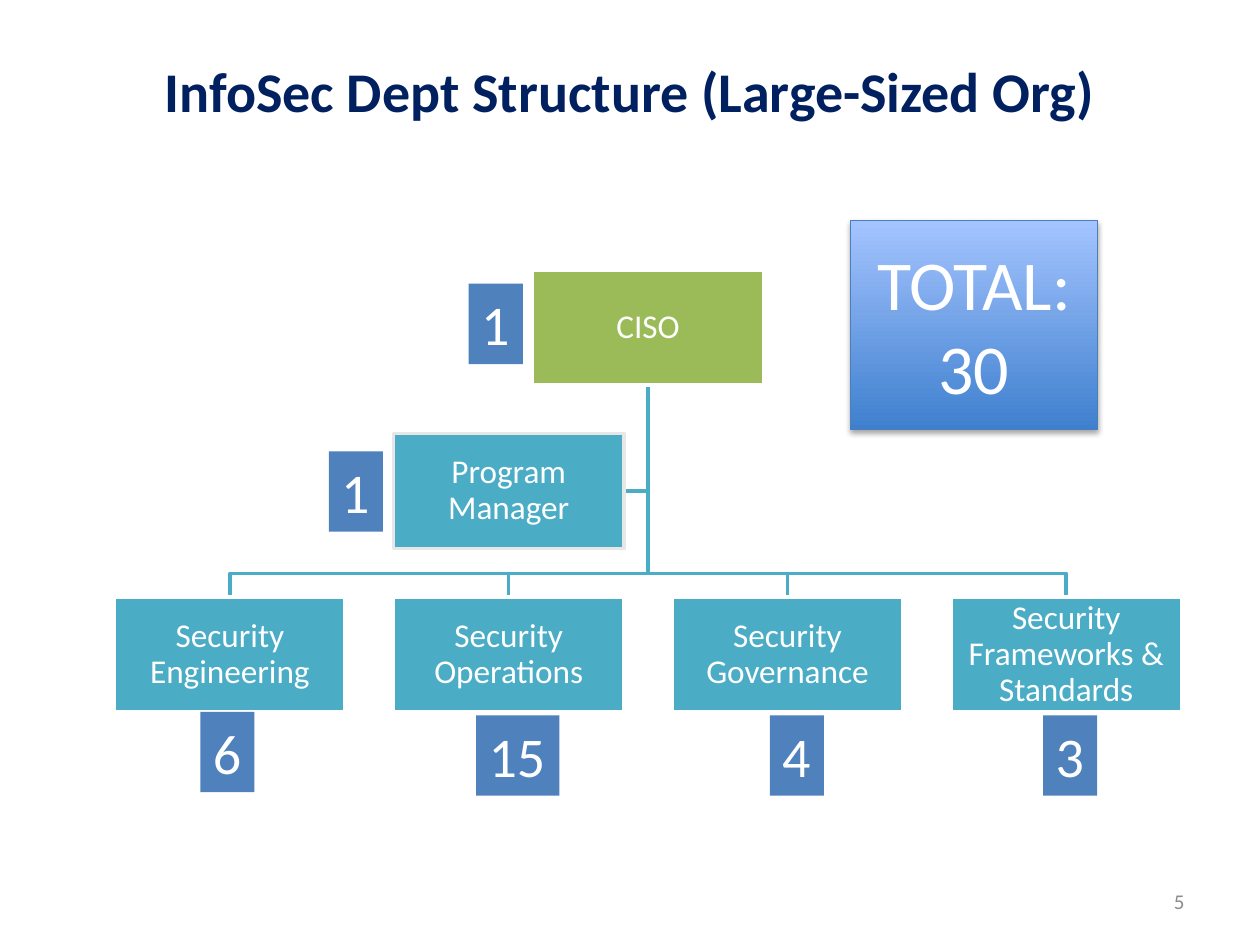
import pptx
import pptx.dml.color
import pptx.enum.shapes
import pptx.enum.text
import pptx.oxml
import pptx.oxml.ns
import pptx.util
from dataclasses import dataclass

Cm = pptx.util.Cm
Pt = pptx.util.Pt
ALIGN = pptx.enum.text.PP_ALIGN
RECTANGLE = pptx.enum.shapes.MSO_SHAPE.RECTANGLE


@dataclass(frozen=True)
class Theme:
    font: str = "Calibri"
    white: str = "FFFFFF"
    navy: str = "002060"
    gray: str = "8C8C8C"
    green: str = "9BBB59"
    teal: str = "4BACC6"
    blue: str = "4F81BD"
    pale_edge: str = "E7E7E7"
    total_edge: str = "4B7EBC"
    total_gradient: tuple = ("3F80CE", "A4C4FF")
    title_size: int = 32
    total_size: int = 40
    badge_size: int = 32
    role_size: int = 19
    number_size: int = 12


SHADOW = (
    '<a:effectLst xmlns:a="http://schemas.openxmlformats.org/drawingml/2006/main">'
    '<a:outerShdw blurRad="40000" dist="23000" dir="5400000" rotWithShape="0">'
    '<a:srgbClr val="000000"><a:alpha val="35000"/></a:srgbClr>'
    "</a:outerShdw></a:effectLst>"
)


def color(value):
    return pptx.dml.color.RGBColor.from_string(value)


class OrgChartSlide:
    def __init__(self, slide, theme):
        self.slide = slide
        self.theme = theme

    def set_text(self, shape, lines, size, ink, align, bold=False):
        frame = shape.text_frame
        frame.word_wrap = True
        frame.vertical_anchor = pptx.enum.text.MSO_ANCHOR.MIDDLE
        paragraph = frame.paragraphs[0]
        for index, line in enumerate(lines):
            if index:
                paragraph.add_line_break()
            paragraph.add_run().text = line
        paragraph.alignment = align
        paragraph.font.name = self.theme.font
        paragraph.font.size = Pt(size)
        paragraph.font.bold = bold
        paragraph.font.color.rgb = color(ink)
        return paragraph

    def label(self, box, text, size, ink, align, bold=False):
        shape = self.slide.shapes.add_textbox(*map(Cm, box))
        self.set_text(shape, [text], size, ink, align, bold)

    def rectangle(self, box, edge=None, edge_width=2):
        shape = self.slide.shapes.add_shape(RECTANGLE, *map(Cm, box))
        shape.shadow.inherit = False
        if edge:
            shape.line.color.rgb = color(edge)
            shape.line.width = Pt(edge_width)
        else:
            shape.line.fill.background()
        return shape

    def branch(self, points):
        start, *rest = [(Cm(x), Cm(y)) for x, y in points]
        builder = self.slide.shapes.build_freeform(*start)
        builder.add_line_segments(rest, close=False)
        shape = builder.convert_to_shape()
        shape.shadow.inherit = False
        shape.fill.background()
        shape.line.color.rgb = color(self.theme.teal)
        shape.line.width = Pt(2)

    def role(self, box, text, fill, edge):
        shape = self.rectangle(box, edge)
        shape.fill.solid()
        shape.fill.fore_color.rgb = color(fill)
        frame = shape.text_frame
        frame.margin_left = frame.margin_right = Cm(0.03)
        frame.margin_top = frame.margin_bottom = Cm(0.03)
        paragraph = self.set_text(
            shape, [text], self.theme.role_size, self.theme.white, ALIGN.CENTER)
        paragraph.line_spacing = 0.9

    def badge(self, left, top, count, width=1.09):
        shape = self.rectangle((left, top, width, 1.62))
        shape.fill.solid()
        shape.fill.fore_color.rgb = color(self.theme.blue)
        self.set_text(shape, [count], self.theme.badge_size, self.theme.white, ALIGN.LEFT)
        shape.text_frame.word_wrap = False
        shape.text_frame.vertical_anchor = pptx.enum.text.MSO_ANCHOR.TOP
        shape.text_frame.auto_size = pptx.enum.text.MSO_AUTO_SIZE.SHAPE_TO_FIT_TEXT

    def total(self, box, lines):
        shape = self.rectangle(box, self.theme.total_edge, 0.75)
        shape.fill.gradient()
        shape.fill.gradient_angle = 90
        for position, (stop, value) in enumerate(
                zip(shape.fill.gradient_stops, self.theme.total_gradient)):
            stop.position = position
            stop.color.rgb = color(value)
        properties = shape.element.spPr
        empty_effects = properties.find(pptx.oxml.ns.qn("a:effectLst"))
        properties.replace(empty_effects, pptx.oxml.parse_xml(SHADOW))
        self.set_text(shape, lines, self.theme.total_size, self.theme.white, ALIGN.CENTER)


def main():
    presentation = pptx.Presentation()
    presentation.slide_width = Cm(25.4)
    presentation.slide_height = Cm(19.05)
    theme = Theme()
    chart = OrgChartSlide(
        presentation.slides.add_slide(presentation.slide_layouts[6]), theme)

    # Slide number and title
    chart.label((18.2, 17.66, 5.93, 1.01), "5", theme.number_size, theme.gray, ALIGN.RIGHT)
    chart.label((1.27, 0.58, 22.86, 2.49), "InfoSec Dept Structure (Large-Sized Org)",
                theme.title_size, theme.navy, ALIGN.CENTER, bold=True)

    # Chart grid
    width, height = 4.65, 2.32
    first_left, pitch = 2.31, 5.62
    ciso_top, manager_top, unit_top = 5.44, 8.74, 12.04
    bus = 11.56
    units = [  # name, badge left, badge top, head count, badge width
        ("Security Engineering", 4.04, 14.35, "6", 1.09),
        ("Security Operations", 9.6, 14.42, "15", 1.68),
        ("Security Governance", 15.52, 14.42, "4", 1.09),
        ("Security Frameworks & Standards", 21.03, 14.42, "3", 1.09),
    ]
    lefts = [first_left + index * pitch for index in range(len(units))]
    trunk = (lefts[0] + lefts[-1] + width) / 2
    ciso_bottom = ciso_top + height
    manager_left = lefts[1]
    manager_middle = manager_top + height / 2

    # Branches
    chart.branch([(trunk, ciso_bottom), (trunk, manager_middle),
                  (manager_left + width, manager_middle)])
    for left in lefts:
        middle = left + width / 2
        chart.branch([(trunk, ciso_bottom), (trunk, bus), (middle, bus), (middle, unit_top)])

    # Roles
    chart.role((trunk - width / 2, ciso_top, width, height), "CISO", theme.green, theme.white)
    for left, (name, *_) in zip(lefts, units):
        chart.role((left, unit_top, width, height), name, theme.teal, theme.white)
    chart.role((manager_left, manager_top, width, height), "Program Manager",
               theme.teal, theme.pale_edge)

    # Head counts
    chart.badge(9.45, 5.72, "1")
    chart.badge(6.63, 9.1, "1")
    for _, left, top, count, badge_width in units:
        chart.badge(left, top, count, badge_width)
    chart.total((17.14, 4.44, 4.99, 4.22), ["TOTAL:", "30"])

    presentation.save("out.pptx")


if __name__ == "__main__":
    main()
